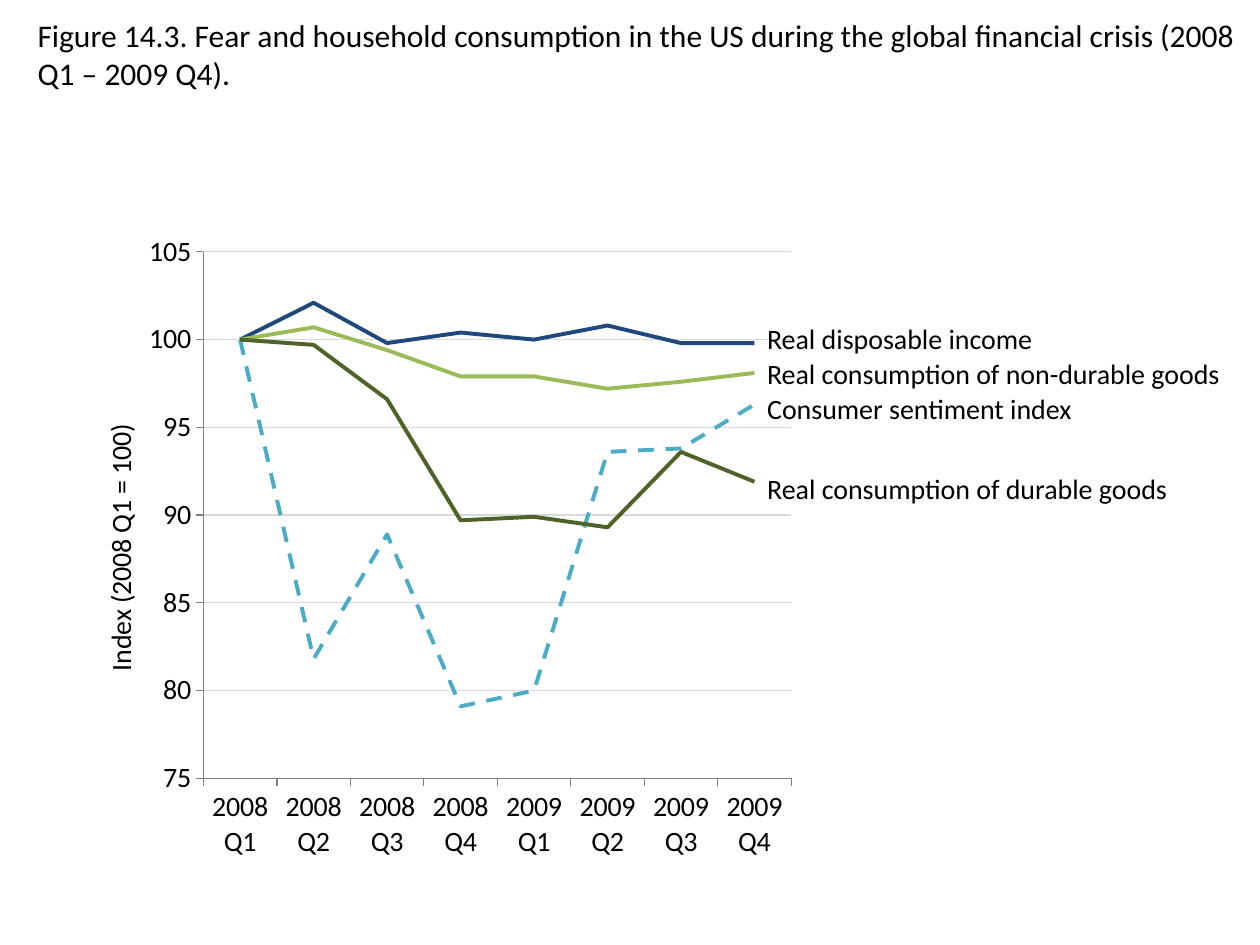
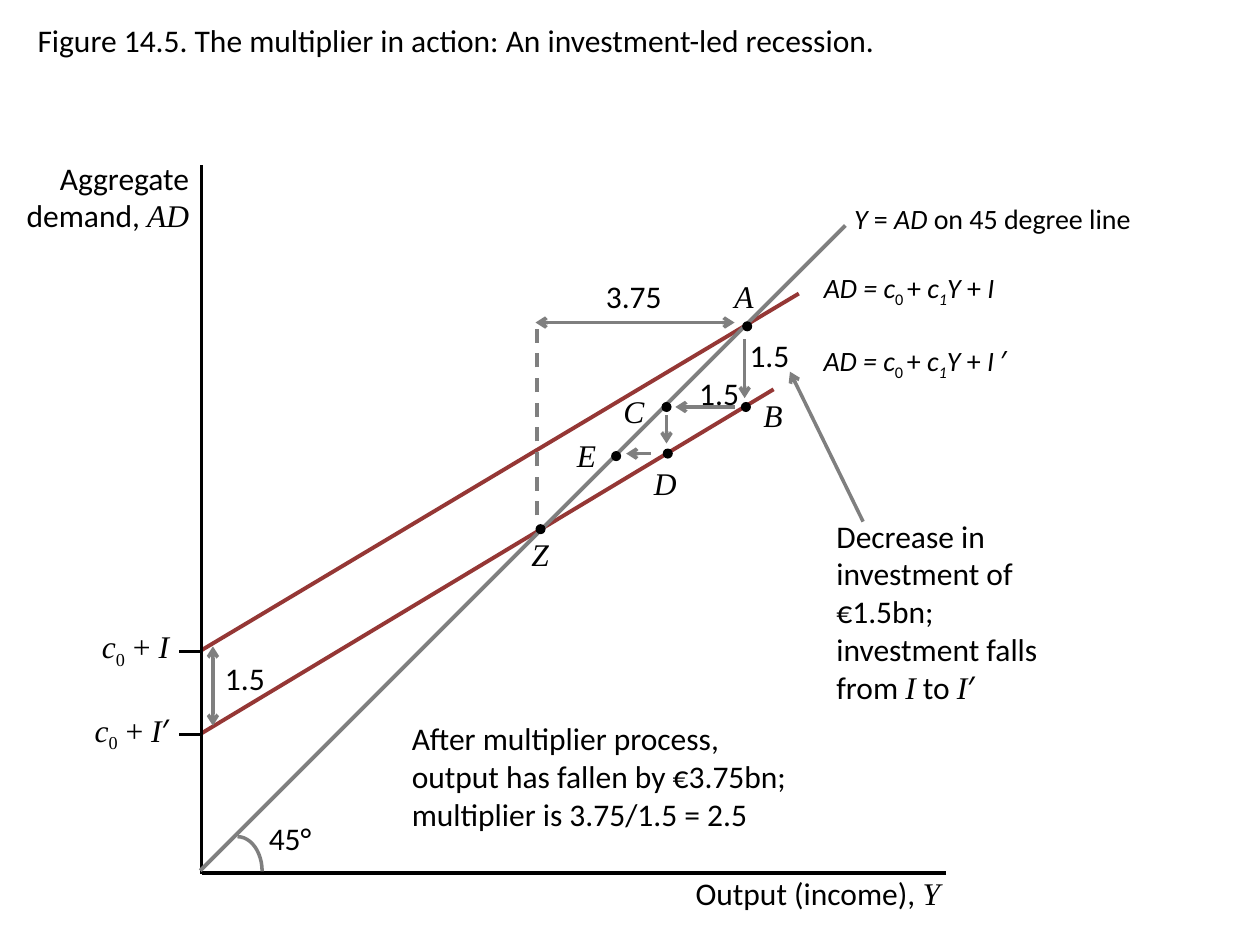
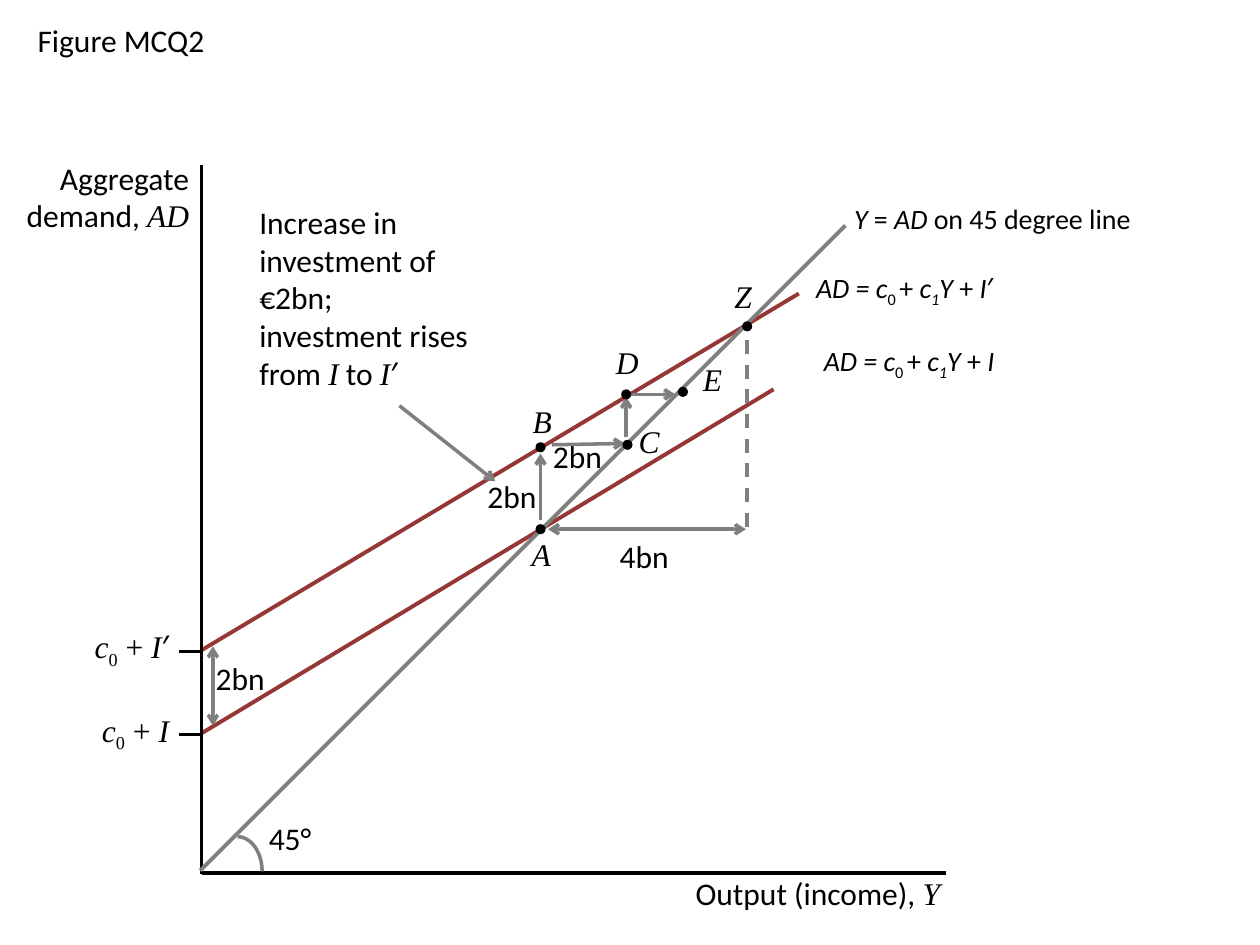
"""Builds three macroeconomics figures: a consumption chart and two multiplier diagrams."""
from lxml.etree import SubElement
from pptx import Presentation
from pptx.chart.data import CategoryChartData
from pptx.dml.color import RGBColor
from pptx.enum.chart import XL_CHART_TYPE as ChartType, XL_TICK_MARK as Tick
from pptx.enum.dml import MSO_LINE as Dash
from pptx.enum.shapes import MSO_CONNECTOR as Connector, MSO_SHAPE as Shape
from pptx.enum.text import MSO_AUTO_SIZE as AutoSize, PP_ALIGN as Align
from pptx.oxml.ns import qn
from pptx.util import Pt

PX = 9144
BLACK = RGBColor(0x00, 0x00, 0x00)
GREY = RGBColor(0x7F, 0x7F, 0x7F)
DEMAND_RED = RGBColor(0x95, 0x37, 0x35)
GRID_GREY = RGBColor(0xD9, 0xD9, 0xD9)
INCOME_BLUE = RGBColor(0x1F, 0x49, 0x7D)
NON_DURABLE_GREEN = RGBColor(0x9B, 0xBB, 0x59)
SENTIMENT_TEAL = RGBColor(0x4B, 0xAC, 0xC6)
DURABLE_GREEN = RGBColor(0x4F, 0x62, 0x28)

BODY_FONT, MATH_FONT = "Calibri", "Times New Roman"
ITALIC, SUB, ITALIC_SUB, MATH, MATH_ITALIC, MATH_SUB = "i", "s", "is", "m", "mi", "ms"

QUARTERS = [f"{year} Q{quarter}" for year in (2008, 2009) for quarter in (1, 2, 3, 4)]
INDICES = [
    ("Real disposable income", INCOME_BLUE, None, 250,
     (100, 102.1, 99.8, 100.4, 100, 100.8, 99.8, 99.8)),
    ("Real consumption of non-durable goods", NON_DURABLE_GREEN, None, 278,
     (100, 100.7, 99.4, 97.9, 97.9, 97.2, 97.6, 98.1)),
    ("Consumer sentiment index", SENTIMENT_TEAL, Dash.DASH, 306,
     (100, 81.8, 88.9, 79.1, 80, 93.6, 93.8, 96.3)),
    ("Real consumption of durable goods", DURABLE_GREEN, None, 369,
     (100, 99.7, 96.6, 89.7, 89.9, 89.3, 93.6, 91.9)),
]
LABEL_WIDTHS = (233, 384, 265, 342)


def emu(*lengths):
    """Turn px lengths into EMU."""
    return [length * PX for length in lengths]


def add_text(slide, text, x, y, width, height=40, size=18, align=Align.LEFT, wrap=False):
    """Write a string, or a list of (text, style) runs, in a text box."""
    frame = slide.shapes.add_textbox(*emu(x, y, width, height)).text_frame
    frame.word_wrap = wrap
    frame.auto_size = AutoSize.SHAPE_TO_FIT_TEXT
    paragraph = frame.paragraphs[0]
    paragraph.alignment = align
    for words, style in [(text, "")] if isinstance(text, str) else text:
        run = paragraph.add_run()
        run.text = words
        font = run.font
        font.name = MATH_FONT if "m" in style else BODY_FONT
        font.size, font.italic = Pt(size), "i" in style
        font.color.rgb = BLACK
        if "s" in style:
            run._r.get_or_add_rPr().set("baseline", "-25000")


def add_line(slide, start, end, color=GREY, weight=2, heads="", dash=None):
    """Draw a straight line; heads names the ends with arrowheads (head, tail)."""
    connector = slide.shapes.add_connector(Connector.STRAIGHT, *emu(*start, *end))
    stroke = connector.line
    stroke.color.rgb, stroke.width = color, Pt(weight)
    if dash:
        stroke.dash_style = dash
    properties = connector._element.spPr
    for side in heads.split():
        SubElement(properties.find(qn("a:ln")), qn(f"a:{side}End"), type="arrow")
    SubElement(properties, qn("a:effectLst"))


def add_dot(slide, x, y):
    """Mark a point on the diagram, centred at x, y."""
    dot = slide.shapes.add_shape(Shape.OVAL, *emu(x - 4, y - 4, 8, 8))
    dot.shadow.inherit = False
    dot.fill.solid()
    dot.fill.fore_color.rgb = BLACK
    dot.line.fill.background()


def add_angle(slide):
    """Draw the 45 degree angle mark at the origin."""
    angle = slide.shapes.add_shape(Shape.ARC, *emu(169, 664, 39, 55))
    angle.shadow.inherit = False
    angle.fill.background()
    angle.line.color.rgb, angle.line.width = GREY, Pt(2)
    add_text(slide, "45°", 203, 645, 54, align=Align.RIGHT)


def add_caption(slide, text, y=12, height=40):
    """Write the figure caption at the top of the slide."""
    add_text(slide, text, 20, y, 980, height, wrap=True)


def set_layout(parent, index, **places):
    """Place a chart part by fractions of the chart area."""
    for old in parent.findall(qn("c:layout")):
        parent.remove(old)
    layout = SubElement(parent, qn("c:layout"))
    parent.insert(index, layout)
    manual = SubElement(layout, qn("c:manualLayout"))
    for tag, value in places.items():
        SubElement(manual, qn(f"c:{tag}"), val=str(value))


def style_axis(axis):
    """Give an axis a thin grey line and outer ticks."""
    axis.major_tick_mark, axis.minor_tick_mark = Tick.OUTSIDE, Tick.NONE
    axis.format.line.color.rgb, axis.format.line.width = GREY, Pt(0.75)


def add_index_chart(slide):
    """Plot the four quarterly indices."""
    data = CategoryChartData()
    data.categories = QUARTERS
    for name, _, _, _, values in INDICES:
        data.add_series(name, values)
    chart = slide.shapes.add_chart(ChartType.LINE, *emu(67, 82, 954, 611), data).chart
    chart.has_legend = chart.has_title = False
    chart.font.name, chart.font.size = BODY_FONT, Pt(16)
    chart.font.color.rgb = BLACK
    chart.plots[0].vary_by_categories = False
    for series, (_, color, dash, _, _) in zip(chart.plots[0].series, INDICES):
        series.smooth = False
        stroke = series.format.line
        stroke.color.rgb, stroke.width = color, Pt(2.25)
        if dash:
            stroke.dash_style = dash

    levels = chart.value_axis
    style_axis(chart.category_axis)
    style_axis(levels)
    levels.minimum_scale, levels.maximum_scale, levels.major_unit = 75, 105, 5
    levels.tick_labels.number_format = "0"
    levels.tick_labels.number_format_is_linked = False
    grid = levels.major_gridlines.format.line
    grid.color.rgb, grid.width = GRID_GREY, Pt(0.75)

    heading = levels.axis_title.text_frame
    heading.text = "Index (2008 Q1 = 100)"
    font = heading.paragraphs[0].runs[0].font
    font.name, font.size, font.bold = BODY_FONT, Pt(16), False
    font.color.rgb = BLACK
    title = levels.axis_title._element
    body = next(title.iter(qn("a:bodyPr")))
    body.set("rot", "-5400000")
    body.set("vert", "horz")
    set_layout(title, 1, xMode="edge", yMode="edge", x=0.01, y=0.41)
    set_layout(chart._chartSpace.chart.plotArea, 0, layoutTarget="inner", xMode="edge",
               yMode="edge", x=0.099, y=0.193, w=0.489, h=0.684)


def demand_formula(prime):
    """Return the runs of the aggregate demand equation."""
    runs = [("AD = c", ITALIC), ("0 ", SUB), ("+ ", ""), ("c", ITALIC), ("1", ITALIC_SUB),
            ("Y", ITALIC), (" + ", ""), ("I", ITALIC)]
    return runs + [(prime, "")] if prime else runs


def intercept(prime):
    """Return the runs of the label where demand meets the vertical axis."""
    runs = [("c", MATH_ITALIC), ("0", MATH_SUB), (" + ", MATH), ("I", MATH_ITALIC)]
    return runs + [("′", "")] if prime else runs


def investment_note(text):
    """Return the runs of the note on the change from I to I′."""
    return [(text, ""), ("I", MATH_ITALIC), (" to ", ""), ("I", MATH_ITALIC), ("′", "")]


def add_demand_diagram(slide, upper, lower, gap, gap_x, gap_width):
    """Draw axes, the 45 degree line and two demand lines given as (prime, x, width)."""
    demand_lines = ((upper, 210, (634, 233), 516, 517), (lower, 268, (614, 309), 582, 583))
    for (prime, x, width), formula_y, end, start_y, tick_y in demand_lines:
        add_text(slide, demand_formula(prime), x, formula_y, width, 37, 16, Align.RIGHT)
        add_line(slide, (161, tick_y), (142, tick_y), BLACK)
        add_text(slide, intercept(prime), -6, tick_y - 24, 150, align=Align.RIGHT, wrap=True)
        add_line(slide, end, (160, start_y), DEMAND_RED, 2.25)
    add_line(slide, (160, 131), (160, 694), BLACK)
    add_line(slide, (751, 693), (160, 693), BLACK)
    add_text(slide, [("Aggregate demand, ", ""), ("AD", MATH_ITALIC)], -37, 121, 197, 71,
             align=Align.RIGHT, wrap=True)
    add_text(slide, [("Output (income), ", ""), ("Y", MATH_ITALIC)], 531, 689, 225,
             align=Align.RIGHT, wrap=True)
    add_line(slide, (671, 179), (159, 691), weight=2.25)
    add_text(slide, [("Y", ITALIC), (" = ", ""), ("AD ", ITALIC), ("on 45 degree line", "")],
             668, 155, 299, 37, 16, wrap=True)
    add_angle(slide)
    add_line(slide, (169, 513), (169, 576), heads="head tail")
    add_text(slide, gap, gap_x, 518, gap_width, align=Align.RIGHT)


def add_steps(slide, arrows, points, amounts):
    """Draw the multiplier steps: arrows, lettered points and amounts."""
    for start, end, heads in arrows:
        add_line(slide, start, end, heads=heads)
    for letter, centre, x, y, width in points:
        add_dot(slide, *centre)
        add_text(slide, [(letter, MATH_ITALIC)], x, y, width)
    for amount, x, y, width in amounts:
        add_text(slide, amount, x, y, width)


def build_consumption(slide):
    """Build the consumption figure."""
    add_index_chart(slide)
    add_caption(slide, "Figure 14.3. Fear and household consumption in the US during the "
                "global financial crisis (2008 Q1 – 2009 Q4).", 8, 71)
    for (name, _, _, y, _), width in zip(INDICES, LABEL_WIDTHS):
        add_text(slide, name, 599, y, width, 37, 16)


def build_recession(slide):
    """Build the investment-led recession figure."""
    add_caption(slide, "Figure 14.5. The multiplier in action: An investment-led recession.")
    add_demand_diagram(slide, ("", 635, 164), (" ′", 635, 174), "1.5", 168, 52)
    add_text(slide, investment_note("Decrease in investment of €1.5bn; investment falls from "),
             654, 405, 197, 162, wrap=True)
    add_line(slide, (426, 409), (426, 256), dash=Dash.DASH)
    add_steps(
        slide,
        arrows=[((627, 295), (685, 414), "head"), ((591, 316), (591, 269), "head"),
                ((536, 323), (583, 323), "head"), ((425, 256), (583, 256), "head tail"),
                ((529, 352), (529, 329), "head"), ((497, 360), (517, 360), "head")],
        points=[("Z", (429, 420), 412, 420, 34), ("B", (592, 323), 596, 309, 36),
                ("C", (529, 323), 485, 306, 37), ("D", (530, 360), 509, 363, 38),
                ("E", (489, 362), 448, 341, 36), ("A", (593, 259), 573, 215, 36)],
        amounts=[("1.5", 585, 262, 52), ("1.5", 545, 292, 52), ("3.75", 471, 215, 65)])
    add_text(slide, "After multiplier process, output has fallen by €3.75bn; "
             "multiplier is 3.75/1.5 = 2.5", 317, 566, 330, 101, wrap=True)


def build_expansion(slide):
    """Build the investment increase figure."""
    add_caption(slide, "Figure MCQ2")
    add_demand_diagram(slide, ("′", 624, 174), ("", 635, 164), "2bn", 160, 60)
    add_text(slide, investment_note("Increase in investment of €2bn; investment rises from "),
             196, 156, 197, 162, wrap=True)
    add_line(slide, (593, 418), (593, 264), dash=Dash.DASH)
    add_steps(
        slide,
        arrows=[((393, 382), (317, 322), "head"), ((435, 420), (592, 420), "head tail"),
                ((429, 360), (429, 413), "head"), ((497, 315), (497, 347), "head"),
                ((496, 352), (438, 353), "head"), ((536, 313), (501, 313), "head")],
        points=[("A", (429, 420), 412, 420, 42), ("E", (542, 311), 548, 281, 42),
                ("Z", (593, 259), 573, 215, 41), ("C", (498, 353), 497, 330, 44),
                ("D", (497, 313), 479, 267, 45), ("B", (429, 355), 413, 314, 36)],
        amounts=[("4bn", 482, 421, 60), ("2bn", 377, 374, 60), ("2bn", 429, 342, 60)])


def main():
    """Build and save the presentation."""
    deck = Presentation()
    deck.slide_width, deck.slide_height = emu(1000, 750)
    for build in (build_consumption, build_recession, build_expansion):
        build(deck.slides.add_slide(deck.slide_layouts[6]))
    deck.save("out.pptx")


if __name__ == "__main__":
    main()
